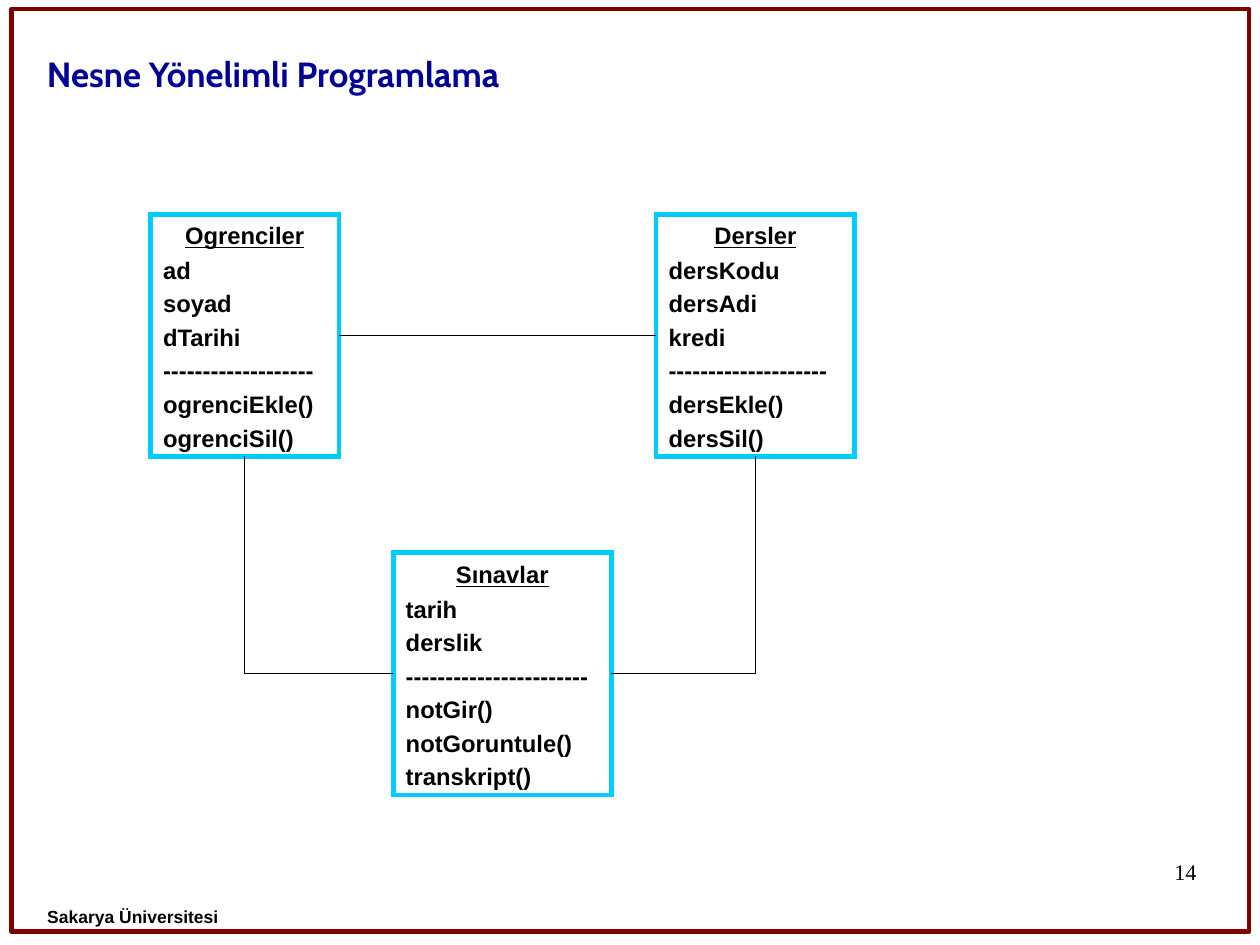
import pptx
import pptx.dml.color
import pptx.enum.shapes
import pptx.enum.text
import pptx.oxml
import pptx.oxml.ns
import pptx.util

Pt = pptx.util.Pt
Align = pptx.enum.text.PP_ALIGN
Anchor = pptx.enum.text.MSO_ANCHOR
ShapeKind = pptx.enum.shapes.MSO_SHAPE
ConnectorKind = pptx.enum.shapes.MSO_CONNECTOR
TOP, LEFT, BOTTOM, RIGHT = range(4)

BOX_HEIGHT = 152.64
UPPER_TOP, LOWER_TOP = 134.9, 348.2


def color(hex_string):
    return pptx.dml.color.RGBColor.from_string(hex_string)


def drawing_element(name):
    return pptx.oxml.parse_xml(f"<a:{name} {pptx.oxml.ns.nsdecls('a')}/>")


def set_insets(frame, left, top, right, bottom):
    frame.margin_left, frame.margin_top = Pt(left), Pt(top)
    frame.margin_right, frame.margin_bottom = Pt(right), Pt(bottom)


def write(paragraph, text, size, font="Arial", fill="000000", bold=True, underline=False,
          align=Align.LEFT, line_spacing=1.0, space_before=0):
    paragraph.alignment = align
    paragraph.line_spacing = line_spacing
    paragraph.space_before = Pt(space_before)
    run = paragraph.add_run()
    run.text = text
    run.font.name = font
    run.font.size = Pt(size)
    run.font.bold = bold
    run.font.underline = underline
    run.font.color.rgb = color(fill)


def add_label(slide, text, left, top, width, height, insets, anchor=Anchor.TOP, **text_format):
    shape = slide.shapes.add_textbox(Pt(left), Pt(top), Pt(width), Pt(height))
    frame = shape.text_frame
    frame.word_wrap = True
    frame.vertical_anchor = anchor
    set_insets(frame, *insets)
    write(frame.paragraphs[0], text, **text_format)


def add_outline(slide, kind, left, top, width, height, line, weight):
    shape = slide.shapes.add_shape(kind, Pt(left), Pt(top), Pt(width), Pt(height))
    shape.shadow.inherit = False
    shape.fill.background()
    shape.line.color.rgb = color(line)
    shape.line.width = Pt(weight)
    return shape


def add_class_box(slide, name, members, left, top, width):
    shape = add_outline(slide, ShapeKind.RECTANGLE, left, top, width, BOX_HEIGHT, "00CCFF", 3)
    shape._element.spPr.find(pptx.oxml.ns.qn("a:ln")).append(drawing_element("miter"))
    frame = shape.text_frame
    frame.word_wrap = True
    frame.auto_size = pptx.enum.text.MSO_AUTO_SIZE.SHAPE_TO_FIT_TEXT
    frame.vertical_anchor = Anchor.TOP
    set_insets(frame, 7.92, 4.32, 7.92, 4.32)
    write(frame.paragraphs[0], name, size=15, underline=True, align=Align.CENTER, space_before=9.4)
    for member in members:
        write(frame.add_paragraph(), member, size=15, line_spacing=0.65, space_before=9.4)
    return shape


def add_link(slide, kind, start, start_side, end, end_side):
    connector = slide.shapes.add_connector(kind, 0, 0, 0, 0)
    connector.begin_connect(start, start_side)
    connector.end_connect(end, end_side)
    connector.line.color.rgb = color("000000")
    connector.line.width = Pt(0.75)
    connector._element.spPr.append(drawing_element("effectLst"))
    return connector


def add_corner_link(slide, start, end, end_side):
    """Run down from the bottom of start, then turn once into a side of end."""
    connector = add_link(slide, ConnectorKind.ELBOW, start, BOTTOM, end, end_side)
    left, top, across, down = connector.left, connector.top, connector.width, connector.height
    # A quarter turn swaps width and height about the same centre.
    connector.left = left + (across - down) // 2
    connector.top = top + (down - across) // 2
    connector.width, connector.height = down, across
    properties = connector._element.spPr
    transform = properties.find(pptx.oxml.ns.qn("a:xfrm"))
    transform.set("rot", "5400000" if end_side == RIGHT else "16200000")
    transform.set("flipH", "0" if end_side == RIGHT else "1")
    transform.set("flipV", "0")
    properties.find(pptx.oxml.ns.qn("a:prstGeom")).set("prst", "bentConnector2")


def main():
    presentation = pptx.Presentation()
    presentation.slide_width, presentation.slide_height = Pt(793.75), Pt(595.25)
    slide = presentation.slides.add_slide(presentation.slide_layouts[6])

    frame = add_outline(slide, ShapeKind.ROUNDED_RECTANGLE, 7.2, 5.76, 779.76, 581.04,
                        "800000", 2.83)
    frame.adjustments[0] = 0
    add_label(slide, "14", 568.8, 542.16, 185.04, 41.04, (0, 0, 0, 0), size=14,
              font="Times New Roman", bold=False, align=Align.RIGHT, line_spacing=0.95)
    add_label(slide, "Sakarya Üniversitesi", 14.4, 558.72, 169.92, 38.88,
              (15.4, 0, 15.4, 0), anchor=Anchor.MIDDLE, size=11, line_spacing=0.93)

    students = add_class_box(
        slide, "Ogrenciler",
        ["ad", "soyad", "dTarihi", "-" * 19, "ogrenciEkle()", "ogrenciSil()"],
        94.8, UPPER_TOP, 118.8)
    exams = add_class_box(
        slide, "Sınavlar",
        ["tarih", "derslik", "-" * 23, "notGir()", "notGoruntule()", "transkript()"],
        247.68, LOWER_TOP, 137.52)
    courses = add_class_box(
        slide, "Dersler",
        ["dersKodu", "dersAdi", "kredi", "-" * 20, "dersEkle()", "dersSil()"],
        413.28, UPPER_TOP, 125.28)

    add_label(slide, "Nesne Yönelimli Programlama", 22.5, 19.8, 576, 43.2,
              (7.2, 3.6, 7.2, 3.6), anchor=Anchor.BOTTOM, size=22, font="Cabin",
              fill="000099", align=Align.JUSTIFY)

    add_link(slide, ConnectorKind.STRAIGHT, students, RIGHT, courses, LEFT)
    add_corner_link(slide, courses, exams, RIGHT)
    add_corner_link(slide, students, exams, LEFT)
    presentation.save("out.pptx")


if __name__ == "__main__":
    main()
